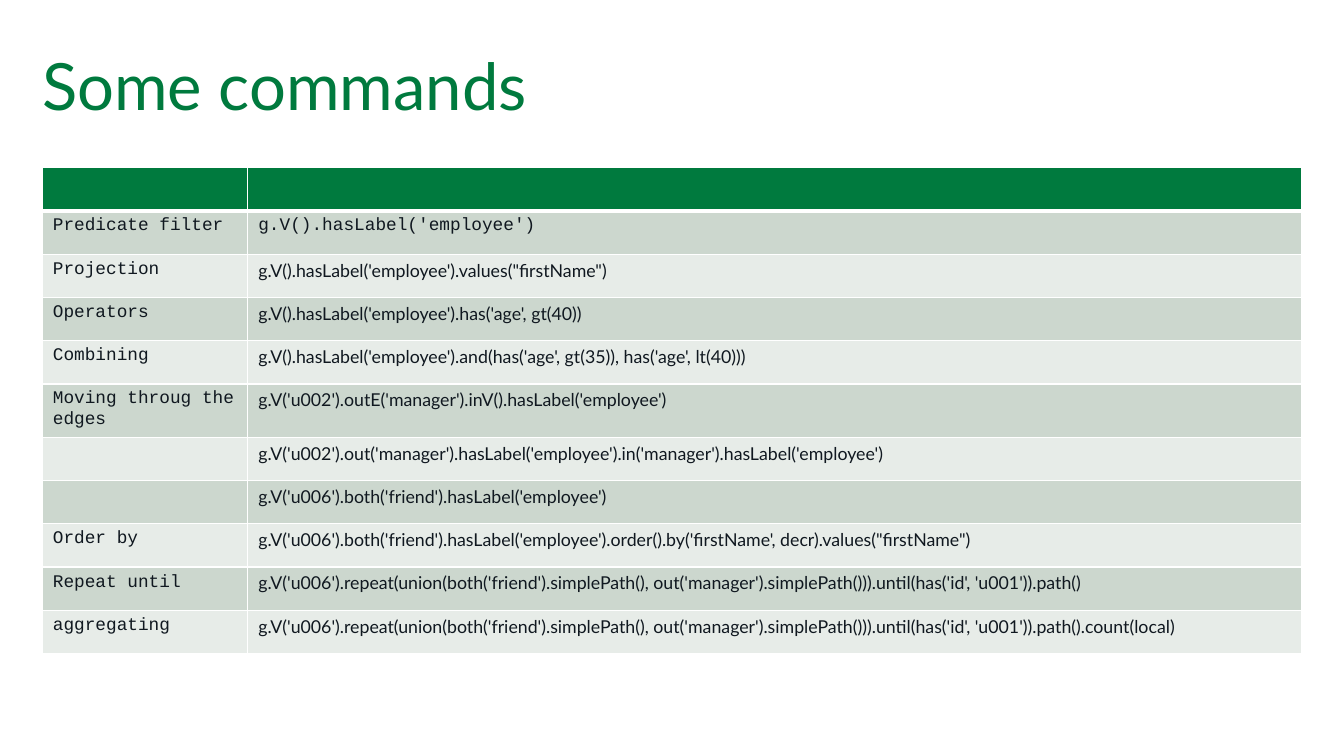
from lxml.etree import SubElement
from pptx import Presentation
from pptx.dml.color import RGBColor
from pptx.enum.text import MSO_ANCHOR
from pptx.oxml.ns import qn
from pptx.util import Pt

PX = 9525
GREEN, INK, WHITE = "007A3E", "101820", "FFFFFF"
BANDS = ("CCD7CE", "E7ECE8")
SANS, MONO = "Lato", "Courier New"
COMMANDS = [
    ("Predicate filter", "g.V().hasLabel('employee')"),
    ("Projection", "g.V().hasLabel('employee').values(\"firstName\")"),
    ("Operators", "g.V().hasLabel('employee').has('age', gt(40))"),
    ("Combining", "g.V().hasLabel('employee').and(has('age', gt(35)), has('age', lt(40)))"),
    ("Moving throug the edges", "g.V('u002').outE('manager').inV().hasLabel('employee')"),
    ("", "g.V('u002').out('manager').hasLabel('employee').in('manager').hasLabel('employee')"),
    ("", "g.V('u006').both('friend').hasLabel('employee')"),
    ("Order by", "g.V('u006').both('friend').hasLabel('employee').order()"
                 ".by('firstName', decr).values(\"firstName\")"),
    ("Repeat until", "g.V('u006').repeat(union(both('friend').simplePath(), "
                     "out('manager').simplePath())).until(has('id', 'u001')).path()"),
    ("aggregating", "g.V('u006').repeat(union(both('friend').simplePath(), "
                    "out('manager').simplePath())).until(has('id', 'u001')).path().count(local)"),
]


def rgb(color):
    return RGBColor.from_string(color)


def add_run(p, text, font, size, color):
    r = p.add_run()
    r.text = text
    r.font.name = font
    r.font.size = Pt(size)
    r.font.color.rgb = rgb(color)


def add_title(s, box, text):
    tf = s.shapes.add_textbox(*(v * PX for v in box)).text_frame
    tf.word_wrap = True
    tf.vertical_anchor = MSO_ANCHOR.MIDDLE
    tf.margin_left = tf.margin_right = tf.margin_top = tf.margin_bottom = 0
    add_run(tf.paragraphs[0], text, SANS, 44, GREEN)


def style_cell(cell, fill, top=1, bottom=1):
    tcPr = cell._tc.get_or_add_tcPr()
    for side, width in (("L", 1), ("R", 1), ("T", top), ("B", bottom)):
        ln = SubElement(tcPr, qn(f"a:ln{side}"), w=str(Pt(width)))
        SubElement(SubElement(ln, qn("a:solidFill")), qn("a:srgbClr"), val=WHITE)
    cell.fill.solid()
    cell.fill.fore_color.rgb = rgb(fill)


def add_commands(s, box, label_width, row_height):
    x, y, width = box
    count = len(COMMANDS) + 1
    table = s.shapes.add_table(
        count, 2, x * PX, y * PX, width * PX, count * row_height * PX).table
    table.columns[0].width = label_width * PX
    table.columns[1].width = (width - label_width) * PX
    for row in table.rows:
        row.height = row_height * PX
    for cell in table.rows[0].cells:
        style_cell(cell, GREEN, bottom=3)
    for i, texts in enumerate(COMMANDS):
        for col, text in enumerate(texts):
            cell = table.cell(i + 1, col)
            style_cell(cell, BANDS[i % 2], top=3 if i == 0 else 1)
            if text:
                font = MONO if col == 0 or i == 0 else SANS
                add_run(cell.text_frame.paragraphs[0], text, font, 12, INK)


def main():
    prs = Presentation()
    prs.slide_width, prs.slide_height = 1210 * PX, 681 * PX
    s = prs.slides.add_slide(prs.slide_layouts[6])
    add_title(s, (38, 38, 1134, 76), "Some commands")
    add_commands(s, (38, 151, 1134), 185, 39)
    prs.save("out.pptx")


if __name__ == "__main__":
    main()
